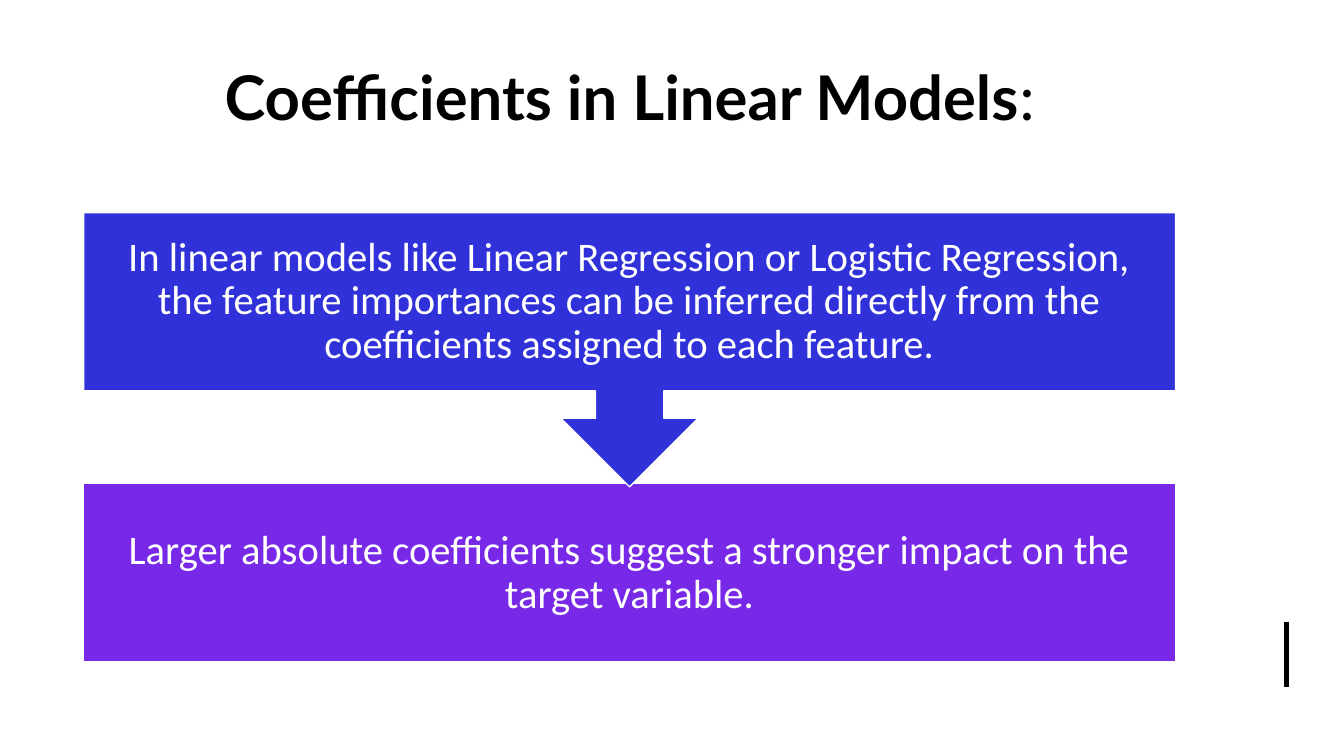
from lxml import etree
from pptx import Presentation
from pptx.dml.color import RGBColor
from pptx.enum.shapes import MSO_CONNECTOR, MSO_SHAPE
from pptx.enum.text import MSO_ANCHOR, PP_ALIGN
from pptx.oxml.ns import qn
from pptx.util import Inches, Pt

RECT, CALLOUT = MSO_SHAPE.RECTANGLE, MSO_SHAPE.DOWN_ARROW_CALLOUT
STRAIGHT = MSO_CONNECTOR.STRAIGHT
MIDDLE, CENTER = MSO_ANCHOR.MIDDLE, PP_ALIGN.CENTER
BLACK = RGBColor(0x00, 0x00, 0x00)
WHITE = RGBColor(0xFF, 0xFF, 0xFF)
BLUE = RGBColor(0x30, 0x31, 0xD9)
PURPLE = RGBColor(0x78, 0x29, 0xE7)
LEFT, WIDTH = Inches(0.83), Inches(10.83)

prs = Presentation()
prs.slide_width, prs.slide_height = Inches(13.33), Inches(7.5)
s = prs.slides.add_slide(prs.slide_layouts[6])
s.background.fill.solid()
s.background.fill.fore_color.rgb = WHITE


def add_text(sp, *runs, size, font, color, inset=0.1, spacing=1.0):
    tf = sp.text_frame
    tf.word_wrap = True
    tf.vertical_anchor = MIDDLE
    tf.margin_left = tf.margin_right = Inches(inset)
    tf.margin_top = tf.margin_bottom = Inches(inset)
    p = tf.paragraphs[0]
    p.alignment = CENTER
    p.line_spacing = spacing
    for text, bold in runs:
        r = p.add_run()
        r.text = text
        r.font.size, r.font.name, r.font.bold = Pt(size), font, bold
        r.font.color.rgb = color


title = s.shapes.add_textbox(LEFT, Inches(0.32), WIDTH, Inches(1.27))
add_text(title, ("Coefficients in Linear Models", True), (":", False),
         size=44, font="Lato", color=BLACK)

rule = s.shapes.add_connector(STRAIGHT, Inches(12.76), Inches(6.17), Inches(12.76), Inches(6.82))
rule.line.color.rgb = BLACK
rule.line.width = Pt(3)
etree.SubElement(rule._element.spPr, qn("a:effectLst"))

STEPS = [
    (RECT, 4.8, 1.77, PURPLE,
     "Larger absolute coefficients suggest a stronger impact on the target variable."),
    (CALLOUT, 2.11, 2.72, BLUE,
     "In linear models like Linear Regression or Logistic Regression, the feature "
     "importances can be inferred directly from the coefficients assigned to each feature."),
]
for kind, top, height, color, text in STEPS:
    sp = s.shapes.add_shape(kind, LEFT, Inches(top), WIDTH, Inches(height))
    sp.shadow.inherit = False
    sp.fill.solid()
    sp.fill.fore_color.rgb = color
    sp.line.color.rgb = WHITE
    sp.line.width = Pt(1)
    add_text(sp, (text, False), size=29, font="Calibri", color=WHITE, inset=0.23, spacing=0.9)

prs.save("out.pptx")
